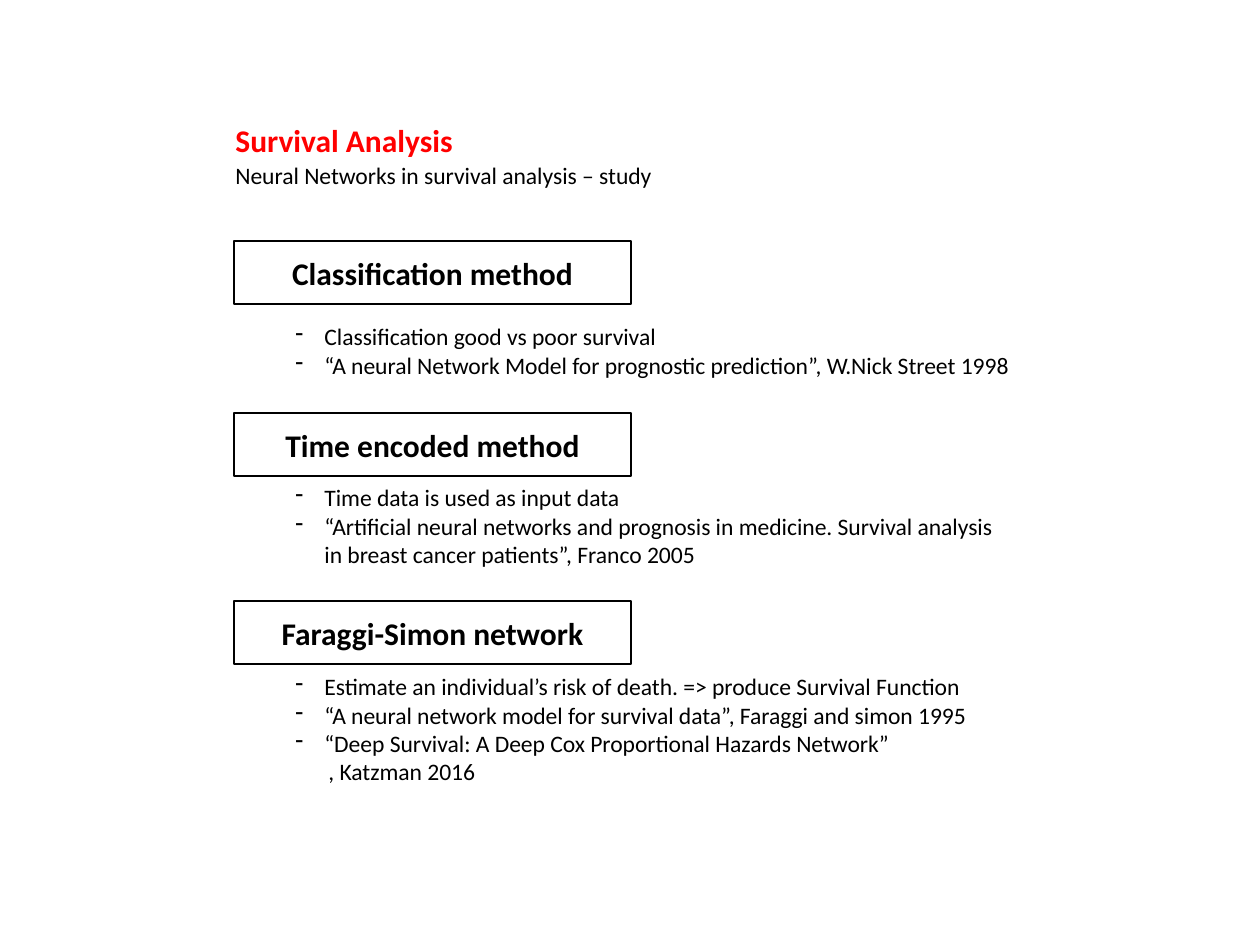
import dataclasses

import pptx
import pptx.dml.color
import pptx.enum.shapes
import pptx.enum.text
import pptx.oxml
import pptx.oxml.ns
import pptx.util

PX = pptx.util.Inches(1) / 126


def px(length):
    return pptx.util.Emu(round(length * PX))


@dataclasses.dataclass(frozen=True)
class Theme:
    font: str = "Calibri"
    ink: str = "000000"
    accent: str = "FF0000"
    heading_size: float = 18
    body_size: float = 13.5
    outline: float = 1
    hanging: int = 29
    continuation: int = 33


class SlideBuilder:
    def __init__(self, page, theme):
        self.page = page
        self.theme = theme

    def add_span(self, para, text, size, color, bold=False):
        span = para.add_run()
        span.text = text
        span.font.name = self.theme.font
        span.font.size = pptx.util.Pt(size)
        span.font.bold = bold
        span.font.color.rgb = pptx.dml.color.RGBColor.from_string(color)

    def text_box(self, left, top, width, height):
        box = self.page.shapes.add_textbox(px(left), px(top), px(width), px(height))
        box.text_frame.word_wrap = True
        return box.text_frame

    def title(self, text, left, top, width, height):
        frame = self.text_box(left, top, width, height)
        frame.vertical_anchor = pptx.enum.text.MSO_ANCHOR.MIDDLE
        para = frame.paragraphs[0]
        para.line_spacing = 0.9
        self.add_span(para, text, self.theme.heading_size, self.theme.accent, bold=True)

    def subtitle(self, text, left, top, width, height):
        para = self.text_box(left, top, width, height).paragraphs[0]
        self.add_span(para, text, self.theme.body_size, self.theme.ink)

    def method_box(self, text, left, top, width, height):
        box = self.page.shapes.add_shape(
            pptx.enum.shapes.MSO_SHAPE.RECTANGLE, px(left), px(top), px(width), px(height))
        box.shadow.inherit = False
        box.fill.background()
        box.line.color.rgb = pptx.dml.color.RGBColor.from_string(self.theme.ink)
        box.line.width = pptx.util.Pt(self.theme.outline)
        box.text_frame.vertical_anchor = pptx.enum.text.MSO_ANCHOR.MIDDLE
        para = box.text_frame.paragraphs[0]
        para.alignment = pptx.enum.text.PP_ALIGN.CENTER
        self.add_span(para, text, self.theme.heading_size, self.theme.ink, bold=True)

    def dash_list(self, items, left, top, width, height, continuation=None):
        """Dashed items, then an optional undashed line set under the last one."""
        frame = self.text_box(left, top, width, height)
        for index, item in enumerate(items):
            para = frame.add_paragraph() if index else frame.paragraphs[0]
            self.indent(para, self.theme.hanging, -self.theme.hanging)
            bullet = pptx.oxml.parse_xml(
                f'<a:buChar {pptx.oxml.ns.nsdecls("a")} char="-"/>')
            para._p.get_or_add_pPr().append(bullet)
            self.add_span(para, item, self.theme.body_size, self.theme.ink)
        if continuation:
            para = frame.add_paragraph()
            self.indent(para, self.theme.continuation, 0)
            self.add_span(para, continuation, self.theme.body_size, self.theme.ink)

    def indent(self, para, margin, first_line):
        properties = para._p.get_or_add_pPr()
        properties.set("marL", str(px(margin)))
        properties.set("indent", str(px(first_line)))


# heading, box top, list top, list width, list height, items, continuation
METHODS = [
    ("Classification method", 241, 316, 750, 98,
     ["Classification good vs poor survival",
      "“A neural Network Model for prognostic prediction”, W.Nick Street 1998"], None),
    ("Time encoded method", 413, 477, 737, 98,
     ["Time data is used as input data",
      "“Artificial neural networks and prognosis in medicine. Survival analysis "
      "in breast cancer patients”, Franco 2005"], None),
    ("Faraggi-Simon network", 601, 666, 902, 127,
     ["Estimate an individual’s risk of death. => produce Survival Function",
      "“A neural network model for survival data”, Faraggi and simon 1995",
      "“Deep Survival: A Deep Cox Proportional Hazards Network”"], ", Katzman 2016"),
]


def main():
    deck = pptx.Presentation()
    deck.slide_width, deck.slide_height = px(1260), px(945)
    page = deck.slides.add_slide(deck.slide_layouts[6])
    builder = SlideBuilder(page, Theme())

    builder.title("Survival Analysis", 223, 130, 815, 25)
    builder.subtitle("Neural Networks in survival analysis – study", 223, 155, 811, 42)
    for heading, box_top, list_top, width, height, items, continuation in METHODS:
        builder.method_box(heading, 234, box_top, 397, 63)
        builder.dash_list(items, 283, list_top, width, height, continuation)

    deck.save("out.pptx")


if __name__ == "__main__":
    main()
